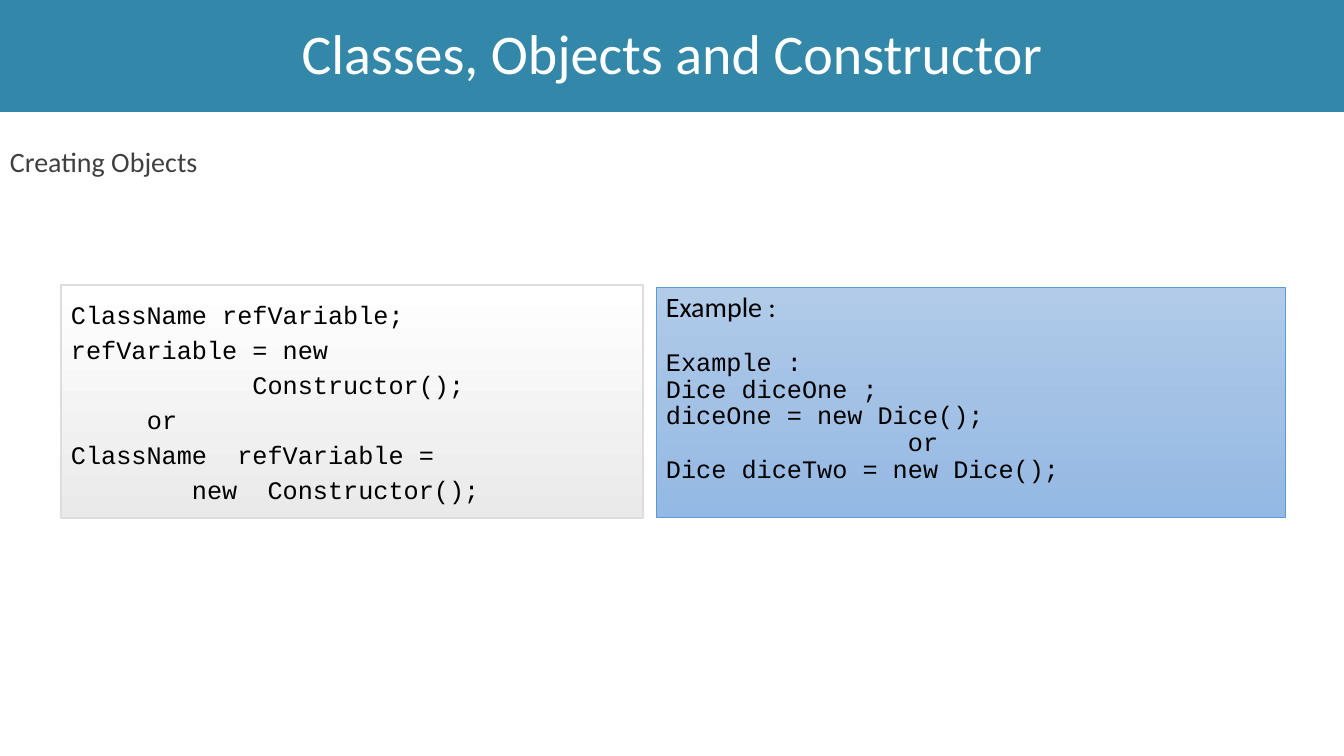
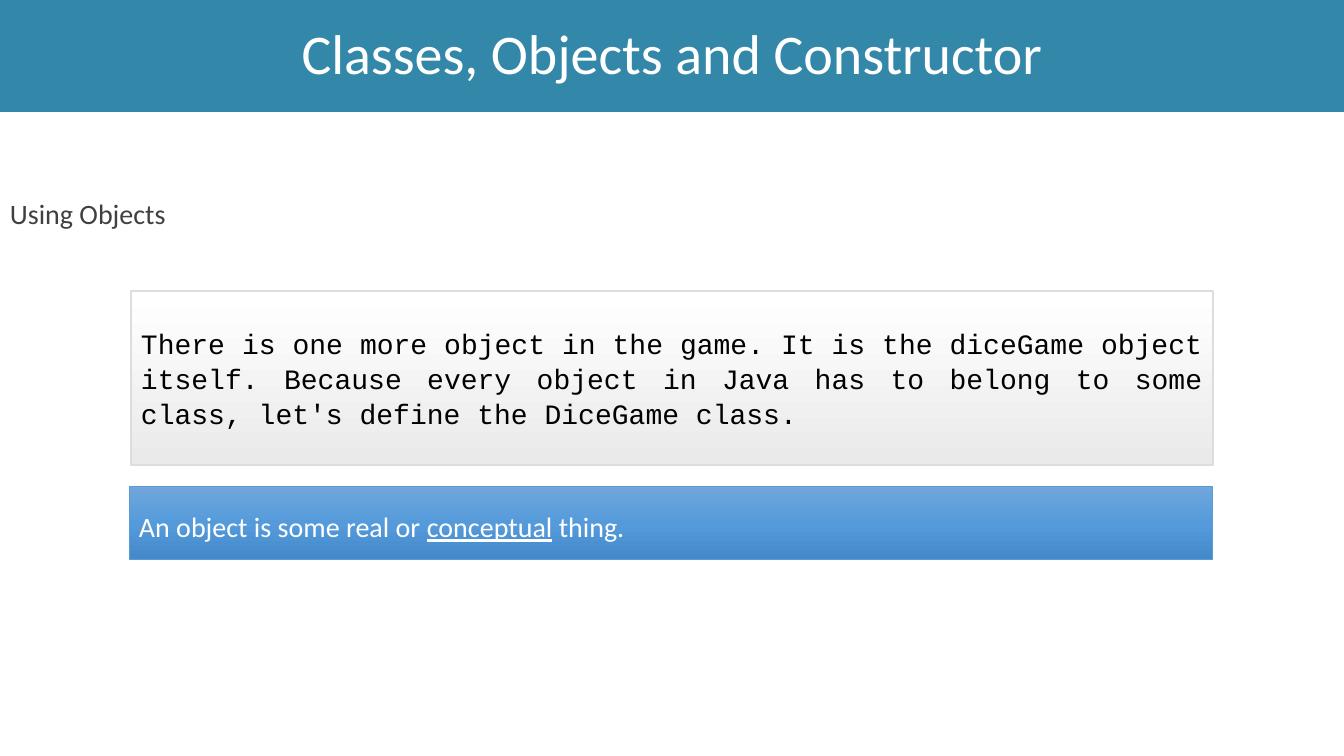
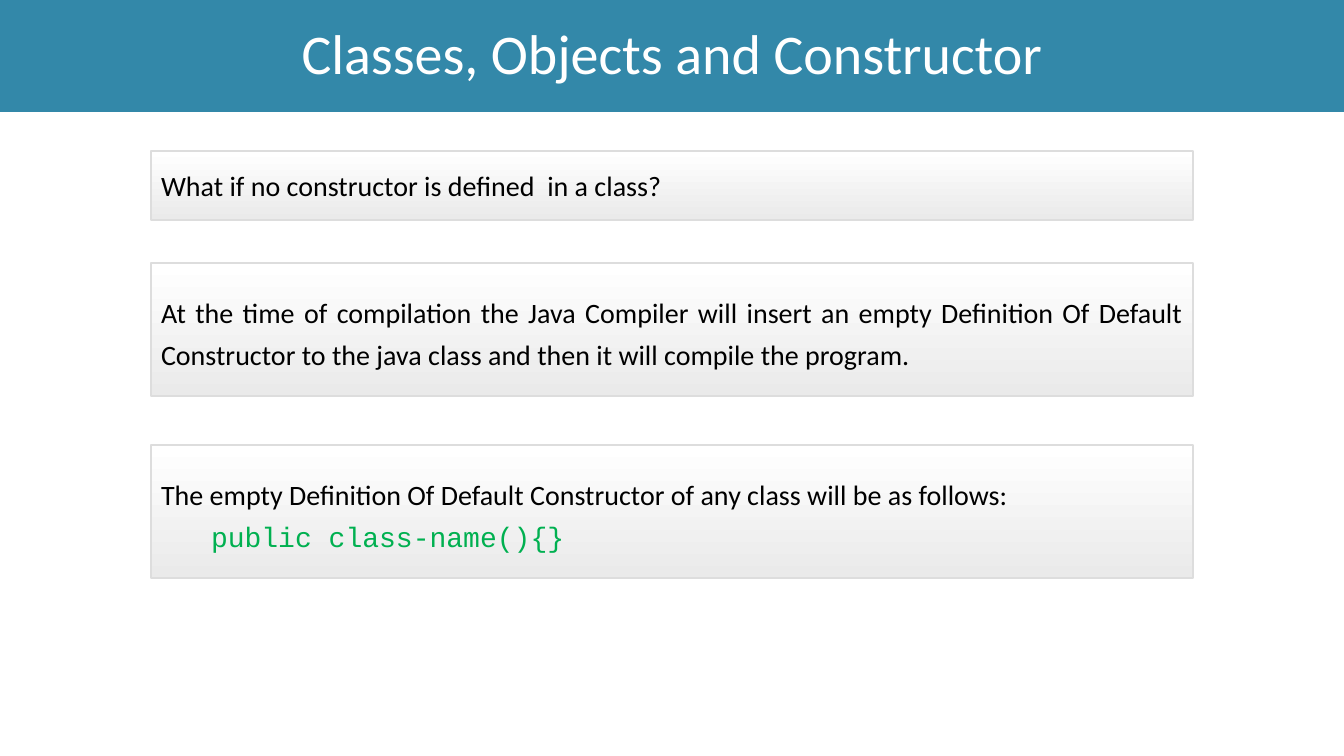
from copy import deepcopy

from lxml.etree import SubElement
from pptx import Presentation
from pptx.dml.color import RGBColor
from pptx.enum.shapes import MSO_SHAPE as Shape
from pptx.enum.text import MSO_ANCHOR as Anchor, MSO_AUTO_SIZE as AutoSize, PP_ALIGN as Align
from pptx.oxml.ns import qn
from pptx.util import Emu, Pt

WIDTH, HEIGHT = 1344, 756
SCALE = 12192000 / WIDTH
BODY, CODE = "Calibri", "Courier New"
TITLE = "Classes, Objects and Constructor"
TITLE_ONLY = 5

COLORS = {
    "band": "3388A9",
    "white": "FFFFFF",
    "black": "000000",
    "heading": "404040",
    "green": "00B050",
    "grey_end": "EAEAEA",
    "grey_line": "DDDDDD",
    "pale_start": "B1CBE9",
    "pale_middle": "A3C1E5",
    "pale_end": "93B9E4",
    "blue_start": "71A6DB",
    "blue_middle": "559BDB",
    "blue_end": "448ACA",
    "blue_line": "5B9BD5",
}

PANELS = {
    "grey": (["white", "grey_end"], "grey_line", 1),
    "pale": (["pale_start", "pale_middle", "pale_end"], "blue_line", 0.5),
    "blue": (["blue_start", "blue_middle", "blue_end"], "blue_line", 0.5),
}


def px(length):
    return Emu(round(length * SCALE))


def color(name):
    return RGBColor.from_string(COLORS[name])


def place(shape, box):
    shape.left, shape.top, shape.width, shape.height = map(px, box)


def add_span(para, text, size=20, font=BODY, ink="black", underline=None):
    span = para.add_run()
    span.text = text
    span.font.size = Pt(size)
    span.font.name = font
    span.font.color.rgb = color(ink)
    span.font.underline = underline


def next_para(frame, spacing, align=Align.LEFT, tab=None):
    first = frame.paragraphs[0]
    para = frame.add_paragraph() if first.runs else first
    if tab:
        stops = SubElement(para._p.get_or_add_pPr(), qn("a:tabLst"))
        SubElement(stops, qn("a:tab"), pos=str(px(tab)), algn="l")
    para.alignment = align
    para.line_spacing = spacing
    return para


def fill_gradient(shape, names):
    shape.fill.gradient()
    shape.fill.gradient_angle = 270
    stop_list = shape._element.spPr.find(".//" + qn("a:gsLst"))
    for _ in names[2:]:
        stop_list.append(deepcopy(stop_list[0]))
    for index, (stop, name) in enumerate(zip(shape.fill.gradient_stops, names)):
        stop.position = index / (len(names) - 1)
        stop.color.rgb = color(name)


def add_panel(page, box, style, anchor=Anchor.MIDDLE):
    stops, line, weight = PANELS[style]
    panel = page.shapes.add_shape(Shape.RECTANGLE, *map(px, box))
    panel.shadow.inherit = False
    fill_gradient(panel, stops)
    panel.line.color.rgb = color(line)
    panel.line.width = Pt(weight)
    frame = panel.text_frame
    frame.word_wrap = True
    frame.vertical_anchor = anchor
    frame.margin_left = frame.margin_right = px(10)
    frame.margin_top = frame.margin_bottom = px(10)
    return frame


def add_code(frame, lines, spacing, tab=None):
    paras = []
    for line in lines:
        para = next_para(frame, Pt(spacing), tab=tab)
        add_span(para, line, 18, CODE)
        paras.append(para)
    return paras


def add_heading(page, top, text):
    heading = page.shapes.add_textbox(*map(px, (0, top, 813, 61)))
    frame = heading.text_frame
    frame.word_wrap = True
    frame.auto_size = AutoSize.SHAPE_TO_FIT_TEXT
    add_span(next_para(frame, 1.5), text, ink="heading")


def add_page(deck):
    page = deck.slides.add_slide(deck.slide_layouts[TITLE_ONLY])
    title = page.shapes.title
    place(title, (0, 0, WIDTH, 112))
    title.fill.solid()
    title.fill.fore_color.rgb = color("band")
    frame = title.text_frame
    frame.word_wrap = True
    frame.auto_size = AutoSize.NONE
    frame.vertical_anchor = Anchor.MIDDLE
    add_span(next_para(frame, 0.9, Align.CENTER), TITLE, 40, ink="white")
    return page


def build_creating(deck):
    page = add_page(deck)
    add_heading(page, 123, "Creating Objects")
    syntax = add_panel(page, (61, 285, 582, 233), "grey", Anchor.TOP)
    add_code(syntax, [
        "ClassName refVariable;",
        "refVariable = new",
        "            Constructor();",
        "\tor",
        "ClassName  refVariable =",
        "        new  Constructor();",
    ], 25, tab=76)
    example = add_panel(page, (656, 287, 629, 230), "pale", Anchor.TOP)
    add_span(next_para(example, Pt(19)), "Example :")
    paras = add_code(example, [
        "Example :",
        "Dice diceOne ;",
        "diceOne = new Dice();",
        "                or",
        "Dice diceTwo = new Dice();",
    ], 19)
    paras[0].space_before = Pt(19)


def build_using(deck):
    page = add_page(deck)
    add_heading(page, 175, "Using Objects")
    game = add_panel(page, (131, 291, 1082, 174), "grey")
    add_span(
        next_para(game, Pt(25), Align.JUSTIFY),
        "There is one more object in the game. It is the diceGame object itself. "
        "Because every object in Java has to belong to some class, "
        "let's define the DiceGame class.",
        font=CODE,
    )
    para = next_para(add_panel(page, (129, 486, 1083, 73), "blue"), Pt(30))
    add_span(para, "An object is some real or ", ink="white")
    add_span(para, "conceptual", ink="white", underline=True)
    add_span(para, " thing.", ink="white")


def build_default(deck):
    page = add_page(deck)
    question, answer, definition = (
        add_panel(page, (151, top, 1042, height), "grey")
        for top, height in ((151, 69), (263, 133), (445, 133))
    )
    add_span(next_para(question, 1.0), "What if no constructor is defined  in a class?")
    add_span(
        next_para(answer, Pt(30), Align.JUSTIFY),
        "At the time of compilation the Java Compiler will insert an empty "
        "Definition Of Default Constructor to the java class and then it will "
        "compile the program.",
    )
    add_span(
        next_para(definition, Pt(30), Align.JUSTIFY),
        "The empty Definition Of Default Constructor of any class will be as follows:",
    )
    para = next_para(definition, Pt(30), Align.JUSTIFY, tab=50)
    add_span(para, "\t")
    add_span(para, "public class-name(){}", font=CODE, ink="green")


def main():
    deck = Presentation()
    deck.slide_width, deck.slide_height = px(WIDTH), px(HEIGHT)
    for build in (build_creating, build_using, build_default):
        build(deck)
    deck.save("out.pptx")


if __name__ == "__main__":
    main()
